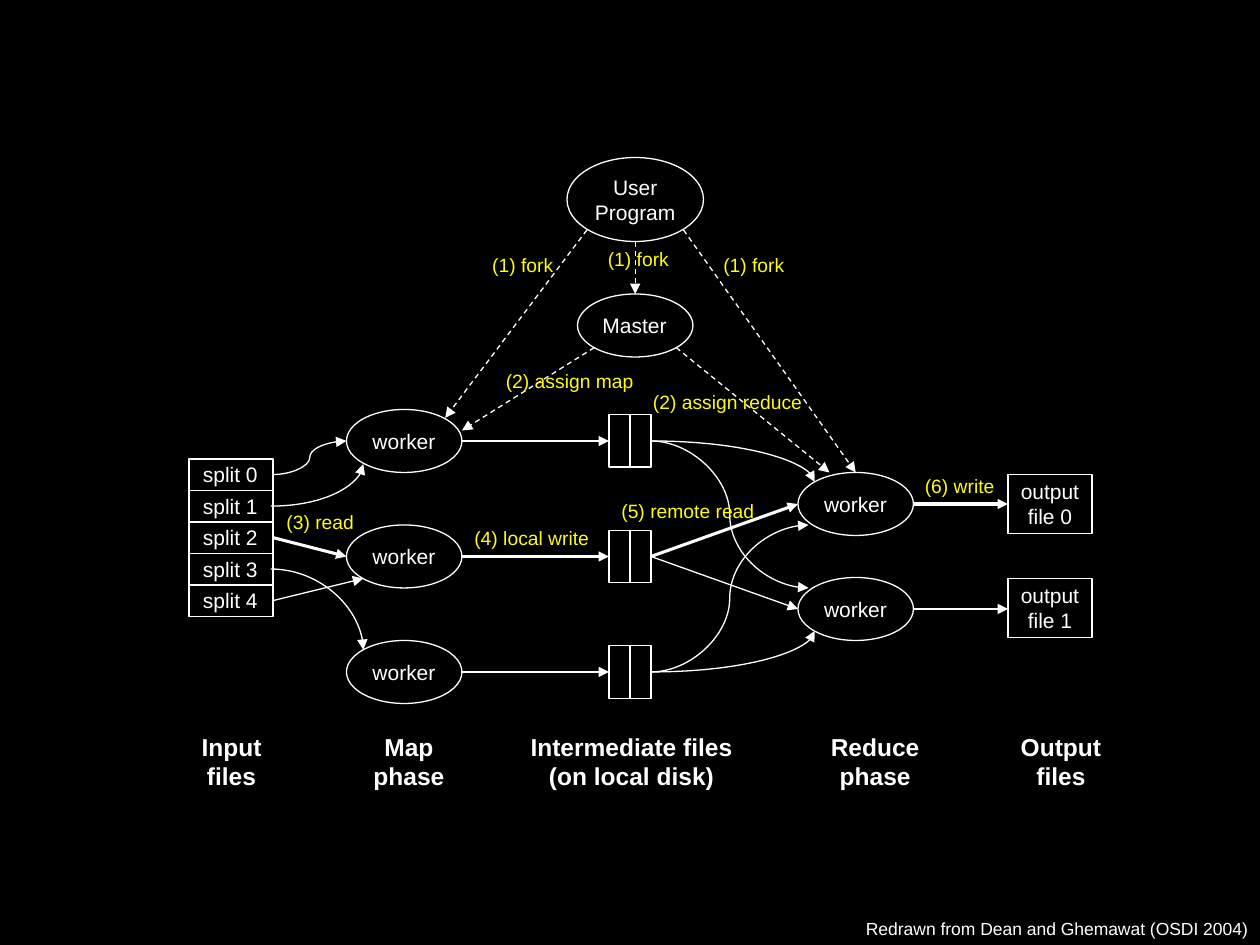
from lxml import etree
from pptx import Presentation
from pptx.dml.color import RGBColor
from pptx.enum.dml import MSO_LINE
from pptx.enum.shapes import MSO_CONNECTOR, MSO_SHAPE
from pptx.enum.text import MSO_ANCHOR, MSO_AUTO_SIZE, PP_ALIGN
from pptx.oxml.ns import qn
from pptx.util import Inches, Pt

RECT, OVAL = MSO_SHAPE.RECTANGLE, MSO_SHAPE.OVAL
STRAIGHT, CURVE = MSO_CONNECTOR.STRAIGHT, MSO_CONNECTOR.CURVE
DASH = MSO_LINE.DASH
LEFT, CENTER, RIGHT = PP_ALIGN.LEFT, PP_ALIGN.CENTER, PP_ALIGN.RIGHT
COLORS = {"back": "000000", "ink": "FFFFFF", "step": "FFFF00"}
FONT = "Arial"
COLS, ROWS = 120, 90
THIN, THICK = 0.75, 1.75


class Diagram:
    """Draws diagram parts on one slide, measured in columns and rows of a grid."""

    def __init__(self, prs):
        self.col, self.row = prs.slide_width / COLS, prs.slide_height / ROWS
        self.s = prs.slides.add_slide(prs.slide_layouts[6])
        fill = self.s.background.fill
        fill.solid()
        fill.fore_color.rgb = self.color("back")

    def color(self, name):
        return RGBColor.from_string(COLORS[name])

    def place(self, x, y, w, h):
        return [int(v) for v in (x * self.col, y * self.row, w * self.col, h * self.row)]

    def shape(self, kind, x, y, w, h):
        sp = self.s.shapes.add_shape(kind, *self.place(x, y, w, h))
        sp.shadow.inherit = False
        sp.fill.background()
        sp.line.color.rgb = self.color("ink")
        sp.line.width = Pt(THIN)

    def text(self, text, x, y, w, h, size=12, color="ink", bold=False, align=LEFT, wrap=False):
        tf = self.s.shapes.add_textbox(*self.place(x, y, w, h)).text_frame
        tf.word_wrap = wrap
        tf.auto_size = MSO_AUTO_SIZE.SHAPE_TO_FIT_TEXT
        tf.vertical_anchor = MSO_ANCHOR.TOP
        tf.text = text
        for p in tf.paragraphs:
            p.alignment = align
            for r in p.runs:
                r.font.name, r.font.size, r.font.bold = FONT, Pt(size), bold
                r.font.color.rgb = self.color(color)

    def node(self, kind, text, x, y, w, h, label_w, label_h=3.6, align=LEFT):
        self.shape(kind, x, y, w, h)
        self.text(text, x + (w - label_w) / 2, y + (h - label_h) / 2, label_w, label_h, align=align)

    def arrow(self, x1, y1, x2, y2, width=THIN, dash=None, kind=STRAIGHT, bend=None):
        c = self.s.shapes.add_connector(kind, *self.place(x1, y1, x2, y2))
        c.line.color.rgb = self.color("ink")
        c.line.width = Pt(width)
        if dash:
            c.line.dash_style = dash
        spPr = c._element.spPr
        if bend:
            spPr.find(qn("a:prstGeom")).set("prst", bend)
        etree.SubElement(spPr.find(qn("a:ln")), qn("a:tailEnd"), type="triangle")
        etree.SubElement(spPr, qn("a:effectLst"))


def build():
    prs = Presentation()
    prs.slide_width, prs.slide_height = Inches(10), Inches(7.5)
    d = Diagram(prs)

    for i in range(5):
        d.node(RECT, f"split {i}", 18, 43.7 + 3 * i, 8, 3, 7.7)
    for x, y in [(33, 39), (33, 50), (33, 61), (76, 45), (76, 55)]:
        d.node(OVAL, "worker", x, y, 11, 6, 8.4)
    d.node(OVAL, "Master", 55, 28, 11, 6, 8.6)
    d.node(OVAL, "User\vProgram", 54, 15, 13, 8, 10.1, 6, CENTER)
    for i in range(2):
        d.node(RECT, f"output\nfile {i}", 96, 45.2 + 9.9 * i, 8, 5.65, 8, 6.1, CENTER)
    for i in range(3):
        for x in (58, 60):
            d.shape(RECT, x, 39.5 + 11 * i, 2, 5)

    for ends in [(26, 45.2, 33, 42), (62, 42, 77, 56), (62, 64, 77, 50)]:
        d.arrow(*ends, kind=CURVE)
    for ends in [(25.8, 48.2, 34.6, 44.2), (25.8, 54.2, 34.6, 61.9),
                 (62, 42, 77.6, 45.9), (62, 64, 77.6, 60.1)]:
        d.arrow(*ends, kind=CURVE, bend="curvedConnector2")
    for ends in [(26, 51.2, 33, 53), (44, 53, 58, 53), (87, 48, 96, 48), (62, 53, 76, 48)]:
        d.arrow(*ends, width=THICK)
    for ends in [(26, 57.2, 34.6, 55.1), (44, 42, 58, 42), (44, 64, 58, 64),
                 (87, 58, 96, 58), (62, 53, 76, 58)]:
        d.arrow(*ends)
    for ends in [(55.9, 21.9, 42.4, 39.8), (60.5, 23, 60.5, 28), (65.1, 21.9, 81.5, 45),
                 (56.6, 33.1, 44, 41), (64.4, 33.1, 79, 45)]:
        d.arrow(*ends, dash=DASH)

    for text, x, y, w in [
        ("(1) fork", 45.7, 23.5, 8.3),
        ("(1) fork", 56.7, 23, 8.3),
        ("(1) fork", 67.7, 23.5, 8.3),
        ("(2) assign map", 47, 34.6, 14.6),
        ("(2) assign reduce", 61, 36.6, 16.7),
        ("(3) read", 26.1, 48, 8.9),
        ("(4) local write", 44, 49.5, 13.4),
        ("(5) remote read", 58, 47, 15.1),
        ("(6) write", 86.9, 44.6, 9.1),
    ]:
        d.text(text, x, y, w, 3.4, size=11, color="step")

    for text, x, w in [
        ("Input\nfiles", 18, 8.1),
        ("Map\nphase", 34.3, 9.3),
        ("Intermediate files\n(on local disk)", 49.3, 21.7),
        ("Reduce\nphase", 77.9, 10.9),
        ("Output\nfiles", 96, 10.1),
    ]:
        d.text(text, x, 69.1, w, 6.8, size=14, bold=True, align=CENTER)
    d.text("Redrawn from Dean and Ghemawat (OSDI 2004)", 81, 86.8, 39, 3.2,
           size=10, align=RIGHT, wrap=True)
    prs.save("out.pptx")


if __name__ == "__main__":
    build()
